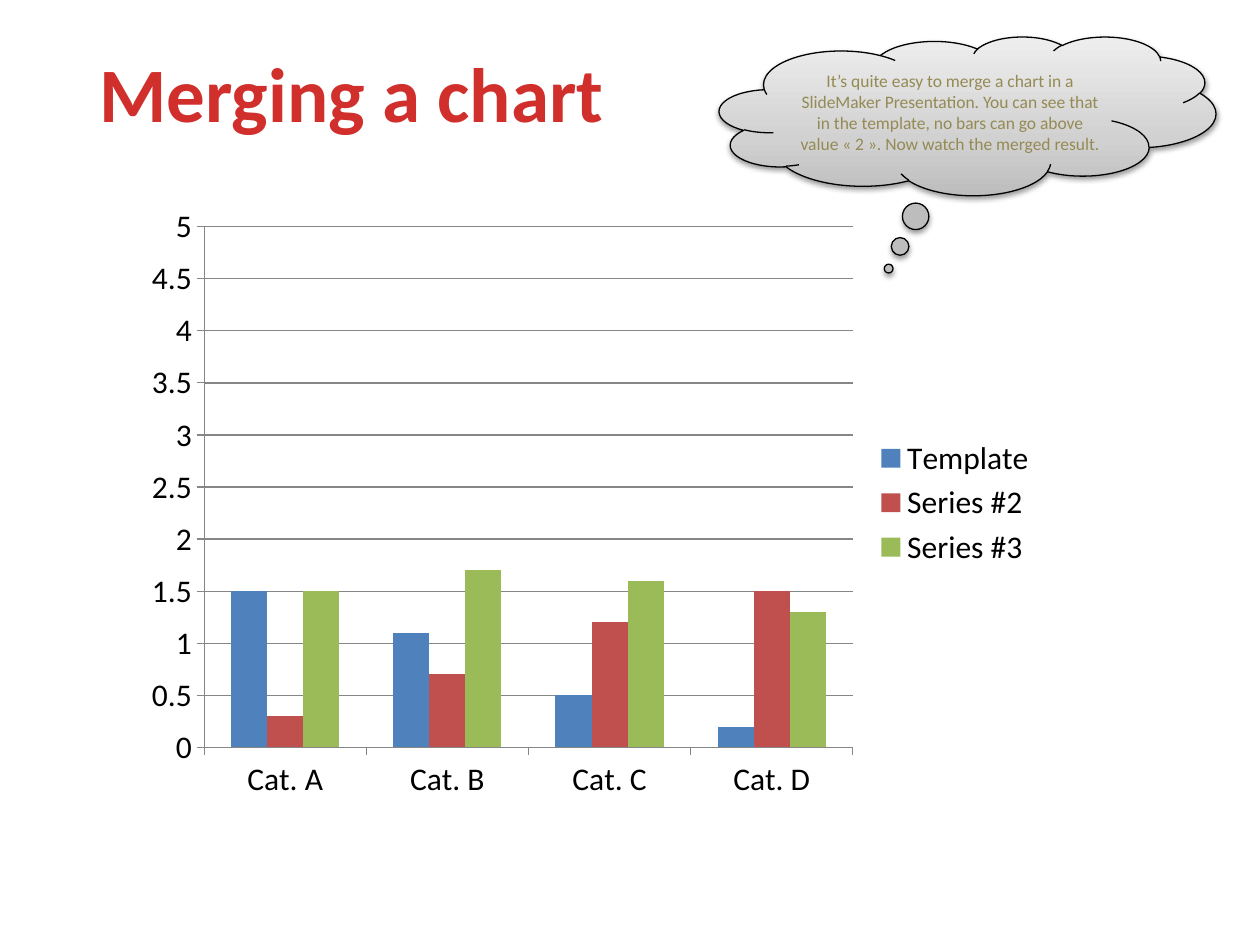
"""Build a slide with a title, a clustered column chart and a thought cloud."""
from dataclasses import dataclass

from lxml import etree
from pptx import Presentation
from pptx.chart.data import CategoryChartData
from pptx.dml.color import RGBColor
from pptx.enum.chart import XL_CHART_TYPE, XL_LEGEND_POSITION, XL_TICK_MARK
from pptx.enum.shapes import MSO_SHAPE
from pptx.enum.text import MSO_ANCHOR, PP_ALIGN
from pptx.oxml.ns import qn
from pptx.util import Pt

COLUMN = XL_CHART_TYPE.COLUMN_CLUSTERED
RIGHT = XL_LEGEND_POSITION.RIGHT
OUT = XL_TICK_MARK.OUTSIDE
CLOUD = MSO_SHAPE.CLOUD_CALLOUT
MIDDLE = MSO_ANCHOR.MIDDLE
CENTER = PP_ALIGN.CENTER
FONT = "Calibri"
HUES = {
    "black": "000000", "axis": "868686", "note": "948A54", "title": "D02F2C",
    "blue": "4F81BD", "red": "C0504D", "green": "9BBB59",
    "rose": "FC7C7A", "dark": "C70500",
    "gray": "BDBDBD", "mid": "D1D1D1", "pale": "EEEEEE",
}


@dataclass
class Series:
    name: str
    vals: tuple
    hue: str


@dataclass
class Stop:
    pos: int
    hue: str


BARS = [
    Series("Template", (1.5, 1.1, 0.5, 0.2), "blue"),
    Series("Series #2", (0.3, 0.7, 1.2, 1.5), "red"),
    Series("Series #3", (1.5, 1.7, 1.6, 1.3), "green"),
]
GLOW = [Stop(0, "rose"), Stop(75, "title"), Stop(100, "dark")]
HAZE = [Stop(0, "gray"), Stop(35, "mid"), Stop(100, "pale")]
NOTE = ("It’s quite easy to merge a chart in a SlideMaker Presentation. "
        "You can see that in the template, no bars can go above value "
        "«\u00a02\u00a0». Now watch the merged result.")


def color(hue: str) -> RGBColor:
    return RGBColor.from_string(HUES[hue])


def blend(owner, stops: list[Stop], angle: int) -> None:
    solid = owner.find(qn("a:solidFill"))
    grad = etree.Element(qn("a:gradFill"), rotWithShape="1")
    group = etree.SubElement(grad, qn("a:gsLst"))
    for stop in stops:
        mark = etree.SubElement(group, qn("a:gs"), pos=str(stop.pos * 1000))
        etree.SubElement(mark, qn("a:srgbClr"), val=HUES[stop.hue])
    etree.SubElement(grad, qn("a:lin"), ang=str(angle * 60000), scaled="0")
    owner.replace(solid, grad)


def shade(shape) -> None:
    shape.shadow.inherit = False
    group = shape._element.spPr.find(qn("a:effectLst"))
    drop = etree.SubElement(
        group, qn("a:outerShdw"), blurRad=str(Pt(3.1)), dist=str(Pt(1.6)),
        dir=str(90 * 60000), rotWithShape="0")
    tint = etree.SubElement(drop, qn("a:srgbClr"), val=HUES["black"])
    etree.SubElement(tint, qn("a:alpha"), val="38000")


def write(shape, text: str, size: int, hue: str, bold: bool = False):
    frame = shape.text_frame
    frame.word_wrap = True
    frame.vertical_anchor = MIDDLE
    para = frame.paragraphs[0]
    para.alignment = CENTER
    run = para.add_run()
    run.text = text
    font = run.font
    font.name, font.size, font.bold = FONT, Pt(size), bold
    font.color.rgb = color(hue)
    return run


def add_title(slide) -> None:
    box = slide.shapes.add_textbox(Pt(36), Pt(21.6), Pt(329.8), Pt(61.2))
    run = write(box, "Merging a chart", 44, "title", True)
    blend(run.font._element, GLOW, 90)


def add_bars(slide) -> None:
    data = CategoryChartData()
    data.categories = [f"Cat. {key}" for key in "ABCD"]
    for item in BARS:
        data.add_series(item.name, item.vals)
    chart = slide.shapes.add_chart(
        COLUMN, Pt(76.3), Pt(111.6), Pt(523.4), Pt(351.4), data).chart
    chart.has_title = False
    chart.font.name, chart.font.size = FONT, Pt(18)
    chart.font.color.rgb = color("black")
    chart.has_legend = True
    chart.legend.position = RIGHT
    chart.legend.include_in_layout = False
    plot = chart.plots[0]
    plot.gap_width, plot.overlap = 150, 0
    plot.vary_by_categories = False
    for item, bar in zip(BARS, plot.series):
        bar.format.fill.solid()
        bar.format.fill.fore_color.rgb = color(item.hue)
    vals, cats = chart.value_axis, chart.category_axis
    vals.minimum_scale, vals.maximum_scale, vals.major_unit = 0, 5, 0.5
    vals.has_major_gridlines = True
    vals.major_tick_mark = cats.major_tick_mark = OUT
    for part in (vals, cats, vals.major_gridlines):
        part.format.line.color.rgb = color("axis")
        part.format.line.width = Pt(0.75)


def add_cloud(slide) -> None:
    cloud = slide.shapes.add_shape(
        CLOUD, Pt(411.1), Pt(20.9), Pt(283.7), Pt(90.7))
    cloud.adjustments[0], cloud.adjustments[1] = -0.159, 0.962
    cloud.fill.solid()
    blend(cloud._element.spPr, HAZE, 270)
    cloud.line.color.rgb = color("black")
    cloud.line.width = Pt(0.75)
    shade(cloud)
    write(cloud, NOTE, 10, "note")


def main() -> None:
    deck = Presentation()
    deck.slide_width, deck.slide_height = Pt(720), Pt(540)
    slide = deck.slides.add_slide(deck.slide_layouts[6])
    add_title(slide)
    add_bars(slide)
    add_cloud(slide)
    deck.save("out.pptx")


main()
